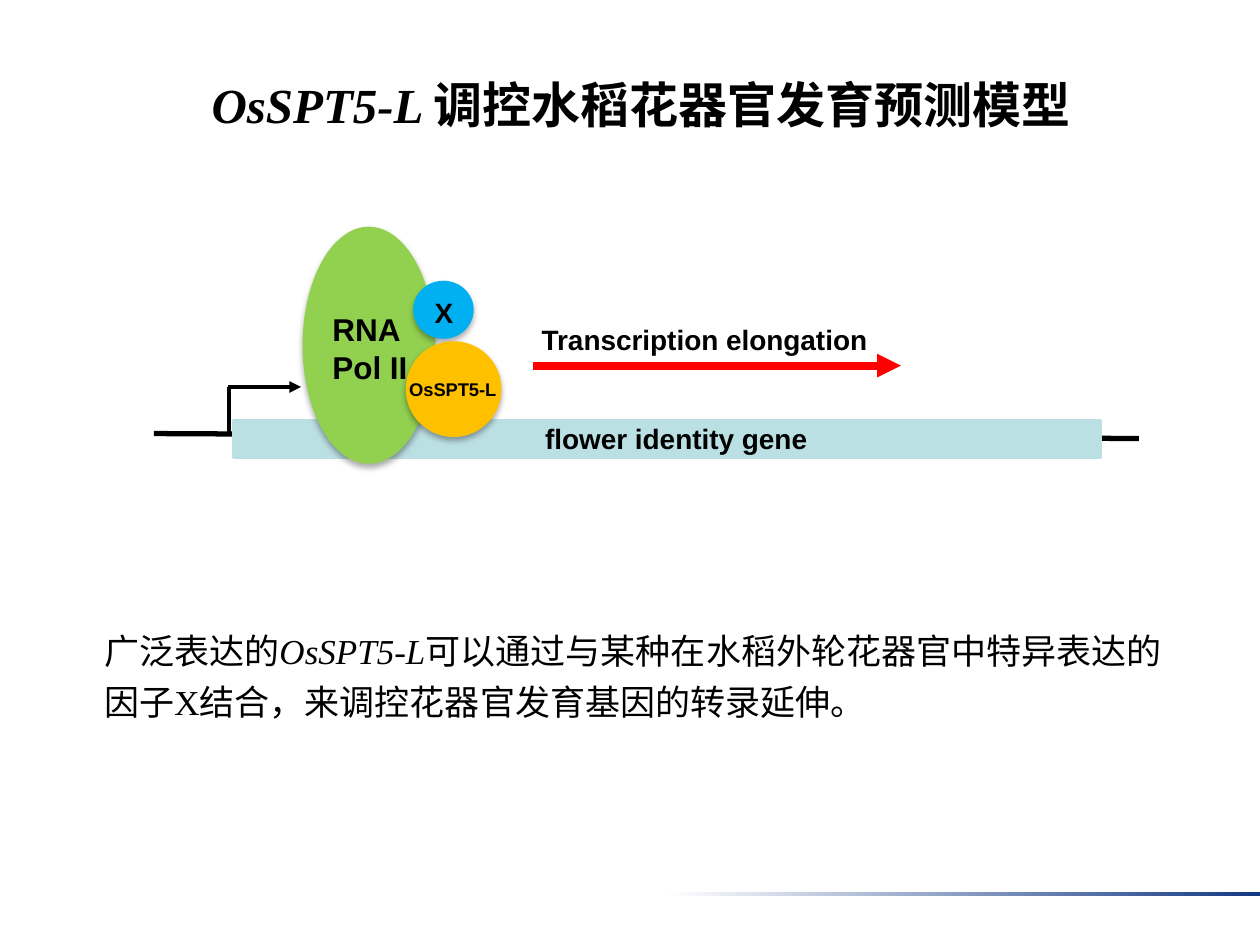
"""Build a slide showing the predicted model of OsSPT5-L in rice flower development."""
import pptx
import pptx.dml.color
import pptx.enum.dml
import pptx.enum.shapes
import pptx.enum.text
import pptx.oxml
import pptx.oxml.ns
import pptx.util

Cm = pptx.util.Cm
Pt = pptx.util.Pt
RGBColor = pptx.dml.color.RGBColor
SHAPE = pptx.enum.shapes.MSO_SHAPE

BLACK = RGBColor(0x00, 0x00, 0x00)
WHITE = RGBColor(0xFF, 0xFF, 0xFF)
NAVY = RGBColor(0x13, 0x39, 0x84)
PALE_TEAL = RGBColor(0xBB, 0xE0, 0xE3)
GREEN = RGBColor(0x92, 0xD0, 0x50)
BLUE = RGBColor(0x00, 0xB0, 0xF0)
ORANGE = RGBColor(0xFF, 0xC0, 0x00)
RED = RGBColor(0xFF, 0x00, 0x00)

NS = pptx.oxml.ns.nsdecls("a")
SOFT_SHADOW = (
    f'<a:effectLst {NS}><a:outerShdw blurRad="44450" dist="27940" dir="5400000" '
    'rotWithShape="0"><a:srgbClr val="000000"><a:alpha val="32000"/></a:srgbClr>'
    "</a:outerShdw></a:effectLst>"
)


def add_line(start, end, color, width, arrow):
    line = slide.shapes.add_connector(
        pptx.enum.shapes.MSO_CONNECTOR.STRAIGHT, *map(Cm, start + end))
    line.line.color.rgb = color
    line.line.width = Pt(width)
    if arrow:
        line.line._get_or_add_ln().append(
            pptx.oxml.parse_xml(f'<a:tailEnd {NS} type="triangle"/>'))
    line._element.spPr.append(pptx.oxml.parse_xml(f"<a:effectLst {NS}/>"))


def write_runs(paragraph, pieces, size, bold):
    for text, italic in pieces:
        run = paragraph.add_run()
        run.text = text
        run.font.name = "Times New Roman"
        run.font.size = Pt(size)
        run.font.bold = bold
        run.font.italic = italic
        run.font.color.rgb = BLACK


presentation = pptx.Presentation()
presentation.slide_width = Cm(25.4)
presentation.slide_height = Cm(19.05)
slide = presentation.slides.add_slide(presentation.slide_layouts[5])

footer_rule = slide.shapes.add_shape(
    SHAPE.RECTANGLE, Cm(13.41), Cm(17.98), Cm(11.99), Cm(0.08))
footer_rule.shadow.inherit = False
footer_rule.line.fill.background()
footer_rule.fill.gradient()
footer_rule.fill.gradient_angle = 0
for stop, color in zip(footer_rule.fill.gradient_stops, (WHITE, NAVY)):
    stop.color.rgb = color

add_line((3.1, 8.74), (22.96, 8.84), BLACK, 3, False)

gene = slide.shapes.add_shape(
    SHAPE.RECTANGLE, Cm(4.72), Cm(8.48), Cm(17.45), Cm(0.74))
gene.shadow.inherit = False
gene.fill.solid()
gene.fill.fore_color.rgb = PALE_TEAL
gene.line.color.rgb = PALE_TEAL
gene.line.width = Pt(2.25)

for left, top, width, height, color in (
    (6.1, 4.57, 2.67, 4.78, GREEN),
    (8.33, 5.66, 1.22, 1.17, BLUE),
    (8.18, 6.88, 1.93, 1.93, ORANGE),
):
    protein = slide.shapes.add_shape(
        SHAPE.OVAL, Cm(left), Cm(top), Cm(width), Cm(height))
    protein.fill.solid()
    protein.fill.fore_color.rgb = color
    protein.line.fill.background()
    protein._element.spPr.append(pptx.oxml.parse_xml(SOFT_SHADOW))

for start, end, color, width, arrow in (
    ((10.74, 7.37), (18.16, 7.37), RED, 4.5, True),
    ((4.62, 8.79), (4.62, 7.8), BLACK, 2.25, False),
    ((4.6, 7.8), (6.07, 7.8), BLACK, 2.25, True),
):
    add_line(start, end, color, width, arrow)

for text, left, top, width, height, size, wrap in (
    ("flower identity gene", 10.74, 8.38, 5.87, 0.94, 16, False),
    ("RNA\nPol II", 6.45, 6.12, 2.06, 1.8, 18, False),
    ("OsSPT5-L", 8, 7.49, 2.46, 0.71, 10.5, True),
    ("X", 8.51, 5.84, 0.89, 0.94, 16, False),
    ("Transcription elongation", 10.67, 6.38, 7.34, 0.94, 16, True),
):
    label = slide.shapes.add_textbox(Cm(left), Cm(top), Cm(width), Cm(height))
    label.text_frame.word_wrap = wrap
    label.text_frame.auto_size = pptx.enum.text.MSO_AUTO_SIZE.SHAPE_TO_FIT_TEXT
    label.text_frame.text = text
    for paragraph in label.text_frame.paragraphs:
        for run in paragraph.runs:
            run.font.name = "Arial"
            run.font.size = Pt(size)
            run.font.bold = True
            run.font.color.rgb = BLACK

title = slide.shapes.title
title.left, title.top, title.width, title.height = map(Cm, (4.01, 1.37, 18.47, 1.45))
title.text_frame.vertical_anchor = pptx.enum.text.MSO_ANCHOR.TOP
title.text_frame.auto_size = pptx.enum.text.MSO_AUTO_SIZE.NONE
heading = title.text_frame.paragraphs[0]
heading.alignment = pptx.enum.text.PP_ALIGN.LEFT
write_runs(heading, (("OsSPT5-L ", True), ("调控水稻花器官发育预测模型", False)), 28, True)

summary = slide.shapes.add_textbox(Cm(1.85), Cm(12.4), Cm(22.38), Cm(2.21))
summary.text_frame.word_wrap = True
summary.text_frame.auto_size = pptx.enum.text.MSO_AUTO_SIZE.SHAPE_TO_FIT_TEXT
conclusion = summary.text_frame.paragraphs[0]
conclusion.line_spacing = 1.2
write_runs(conclusion, (
    ("广泛表达的", False),
    ("OsSPT5-L", True),
    ("可以通过与某种在水稻外轮花器官中特异表达的因子X结合，来调控花器官发育基因的转录延伸。", False),
), 20, False)

presentation.save("out.pptx")
